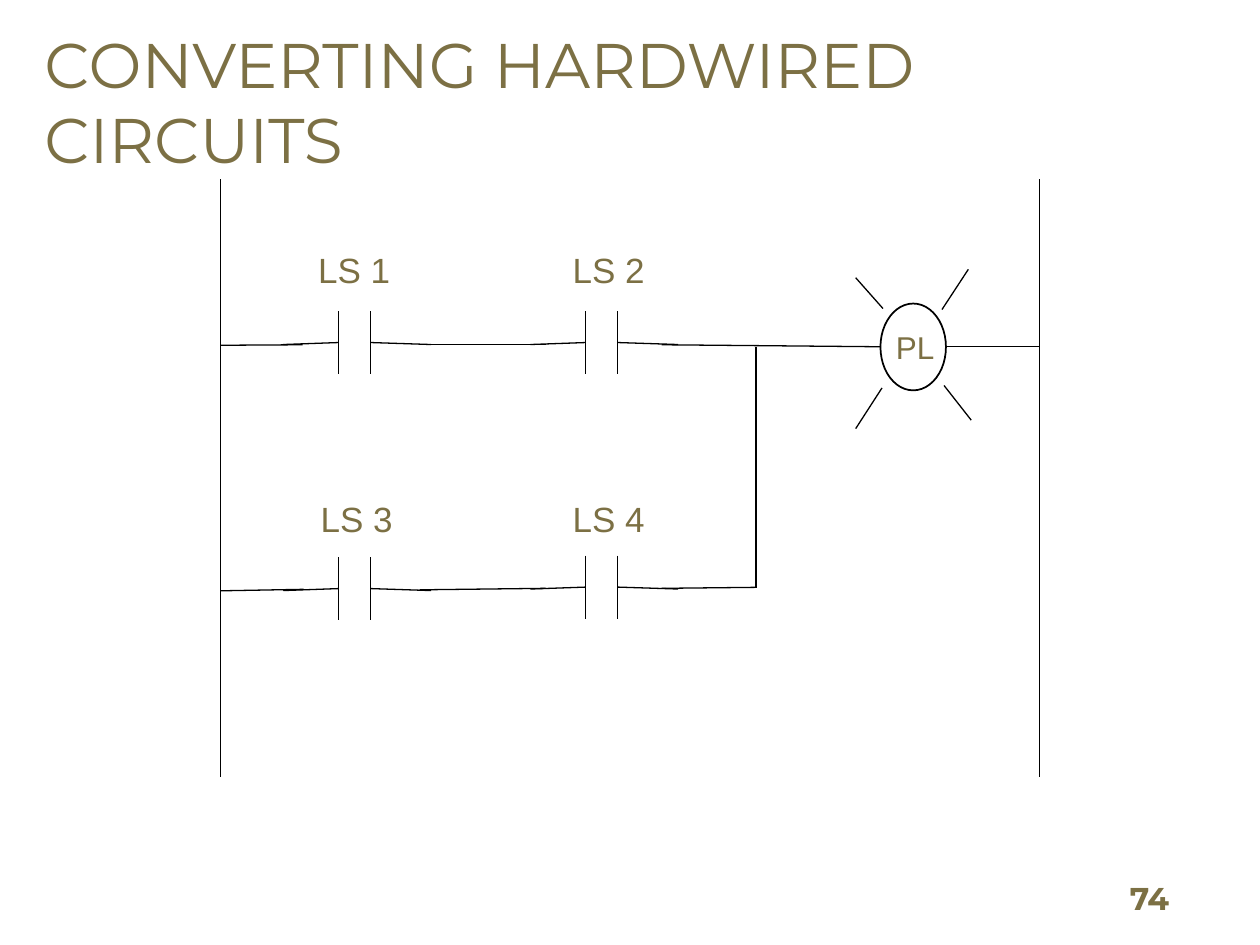
from lxml import etree
from pptx import Presentation
from pptx import util as u
from pptx.dml.color import RGBColor
from pptx.enum import shapes, text
from pptx.oxml.ns import qn

COLORS = {"text": "7C7044", "line": "000000"}

TITLE = "CONVERTING HARDWIRED CIRCUITS"
PAGE_NUMBER = "74"

# All positions are in centimetres.
RAILS = [4.45, 20.96]
RAIL_TOP, RAIL_BOTTOM = 3.61, 15.67
BRANCH_X = 15.24

# label, label left, label top, left plate x, plate top
CONTACTS = [
    ("LS 1", 5.87, 4.88, 6.83, 6.27),
    ("LS 2", 11.0, 4.88, 11.81, 6.27),
    ("LS 3", 5.92, 9.91, 6.83, 11.23),
    ("LS 4", 11.0, 9.91, 11.81, 11.2),
]
PLATE_HEIGHT, PLATE_GAP = 1.27, 0.64
LEAD_LEFT, LEAD_RIGHT, LEAD_DROP = 1.12, 1.22, 0.04

WIRES = [
    (RAILS[0], 6.96, 6.1, 6.95),
    (8.46, 6.95, 11.0, 6.95),
    (13.34, 6.95, 17.75, 6.99),
    (19.07, 6.99, RAILS[1], 6.99),
    (RAILS[0], 11.91, 6.12, 11.88),
    (8.46, 11.89, 11.0, 11.86),
    (13.34, 11.86, BRANCH_X, 11.84),
    (BRANCH_X, 11.85, BRANCH_X, 6.99),
]

LAMP = (17.75, 6.12, 1.32, 1.75)
RAYS = [
    (19.03, 7.77, 19.58, 8.47),
    (17.25, 5.6, 17.8, 6.22),
    (18.99, 6.24, 19.52, 5.43),
    (17.25, 8.64, 17.78, 7.82),
]


def style_line(shape, width):
    shape.line.color.rgb = RGBColor.from_string(COLORS["line"])
    shape.line.width = u.Pt(width)


def add_line(parent, ends):
    line = parent.add_connector(shapes.MSO_CONNECTOR.STRAIGHT, *map(u.Cm, ends))
    style_line(line, 0.75)
    etree.SubElement(line._element.spPr, qn("a:effectLst"))


def write(box, words, size, font, align=text.PP_ALIGN.LEFT,
          anchor=text.MSO_ANCHOR.TOP, bold=False):
    frame = box.text_frame
    frame.word_wrap = True
    frame.auto_size = text.MSO_AUTO_SIZE.NONE
    frame.vertical_anchor = anchor
    frame.text = words
    para = frame.paragraphs[0]
    para.alignment = align
    span = para.runs[0]
    formats = {"size": u.Pt(size), "name": font, "bold": bold}
    for name, value in formats.items():
        setattr(span.font, name, value)
    span.font.color.rgb = RGBColor.from_string(COLORS["text"])


def add_text(page, place, *args, **formats):
    write(page.shapes.add_textbox(*map(u.Cm, place)), *args, **formats)


def add_contact(page, x, top):
    """Draw two plates with a slightly sloping lead on either side."""
    group = page.shapes.add_group_shape().shapes
    right, middle = x + PLATE_GAP, top + PLATE_HEIGHT / 2
    for plate in (x, right):
        add_line(group, (plate, top, plate, top + PLATE_HEIGHT))
    add_line(group, (right, middle, right + LEAD_RIGHT, middle + LEAD_DROP))
    add_line(group, (x - LEAD_LEFT, middle + LEAD_DROP, x, middle))


def add_lamp(page):
    group = page.shapes.add_group_shape().shapes
    bulb = group.add_shape(shapes.MSO_SHAPE.OVAL, *map(u.Cm, LAMP))
    bulb.shadow.inherit = False
    bulb.fill.background()
    style_line(bulb, 1)
    for ray in RAYS:
        add_line(group, ray)


def main():
    deck = Presentation()
    deck.slide_width, deck.slide_height = u.Cm(25.4), u.Cm(19.05)
    page = deck.slides.add_slide(deck.slide_layouts[5])

    title = page.shapes.title
    place = {"left": 0.64, "top": 0.38, "width": 23.37, "height": 3.28}
    for name, value in place.items():
        setattr(title, name, u.Cm(value))
    write(title, TITLE, 36, "Montserrat")
    add_text(page, (22.53, 17.81, 2.69, 0.79), PAGE_NUMBER, 18, "Montserrat",
             anchor=text.MSO_ANCHOR.BOTTOM, bold=True)

    add_lamp(page)
    for x in RAILS:
        add_line(page.shapes, (x, RAIL_TOP, x, RAIL_BOTTOM))
    for wire in WIRES:
        add_line(page.shapes, wire)
    for label, left, label_top, x, top in CONTACTS:
        add_text(page, (left, label_top, 2.54, 1.12), label, 20, "Arial",
                 align=text.PP_ALIGN.CENTER)
        add_contact(page, x, top)
    add_text(page, (17.6, 6.48, 1.7, 1.02), "PL", 18, "Arial",
             align=text.PP_ALIGN.CENTER)

    deck.save("out.pptx")


if __name__ == "__main__":
    main()
